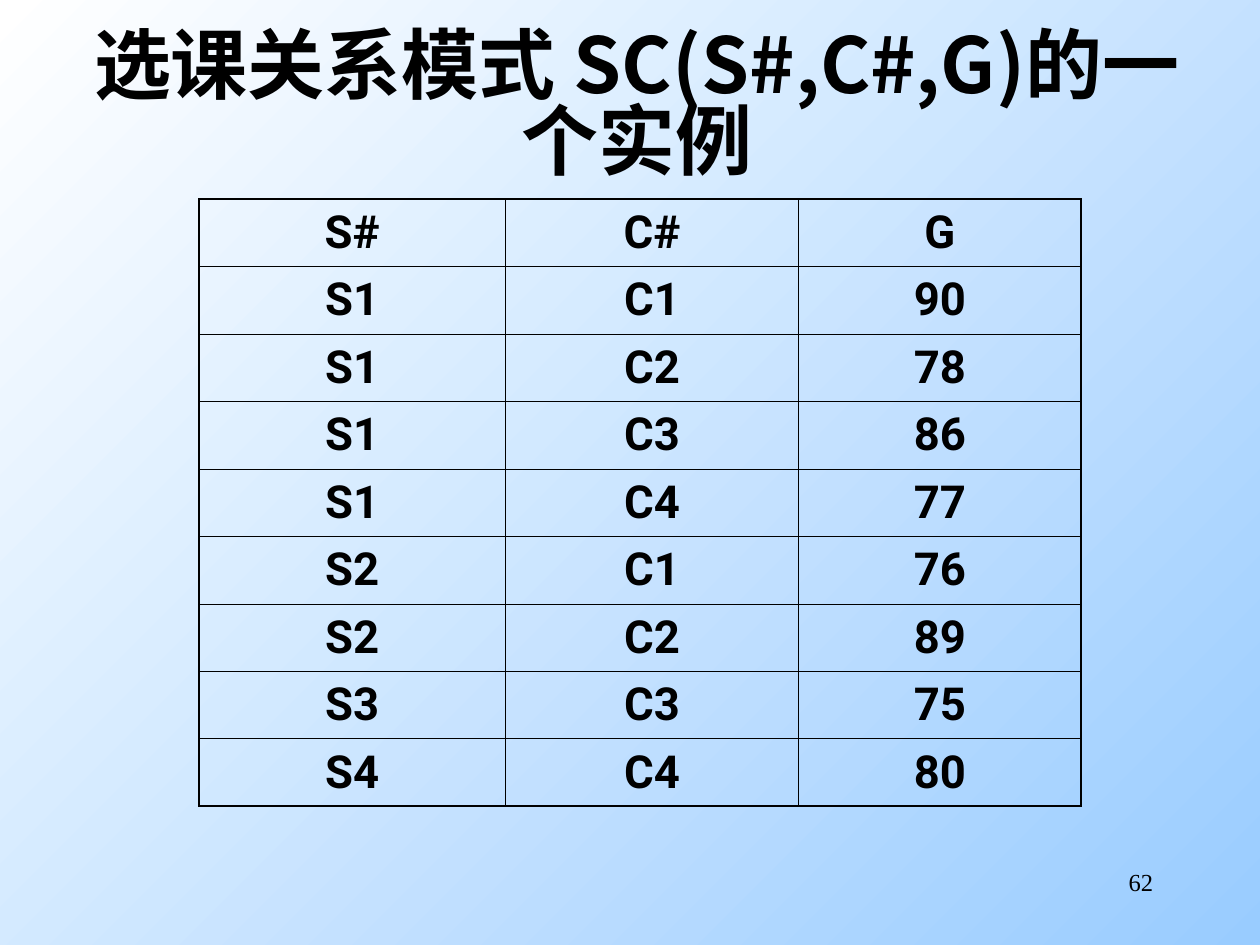
from lxml.etree import SubElement
from pptx import Presentation
from pptx.dml.color import RGBColor
from pptx.enum.text import MSO_ANCHOR as Anchor, PP_ALIGN as Align
from pptx.oxml.ns import qn
from pptx.util import Inches, Pt

TITLE = "选课关系模式 SC(S#,C#,G)的一个实例"
PAGE = "62"
ROWS = [
    ("S#", "C#", "G"),
    ("S1", "C1", "90"),
    ("S1", "C2", "78"),
    ("S1", "C3", "86"),
    ("S1", "C4", "77"),
    ("S2", "C1", "76"),
    ("S2", "C2", "89"),
    ("S3", "C3", "75"),
    ("S4", "C4", "80"),
]
WIDTHS = [2.43, 2.33, 2.24]
HEIGHT = 4.82
INK = "000000"
SHADES = ["FFFFFF", "99CCFF"]
THIN, THICK = 0.45, 1.08

HEAD = {"name": "Noto Sans CJK SC", "size": Pt(44), "bold": True}
BODY = {"name": "Roboto", "size": Pt(26), "bold": True}
FOOT = {"name": "Times New Roman", "size": Pt(14)}


def color(code):
    return RGBColor.from_string(code)


def write(frame, text, style, align):
    para = frame.paragraphs[0]
    para.alignment = align
    run = para.add_run()
    run.text = text
    for key, value in style.items():
        setattr(run.font, key, value)
    run.font.color.rgb = color(INK)
    SubElement(run.font._element, qn("a:ea"), typeface=style["name"])
    return para


def add_text(slide, place, text, style, align):
    box = slide.shapes.add_textbox(*map(Inches, place))
    box.text_frame.word_wrap = True
    return box.text_frame, write(box.text_frame, text, style, align)


def add_border(cell, edges):
    """Draw the cell's edges, given as tag and whether it is on the rim."""
    props = cell._tc.get_or_add_tcPr()
    for spot, (tag, rim) in enumerate(edges.items()):
        line = SubElement(props, qn(f"a:{tag}"),
                          w=str(Pt(THICK if rim else THIN)))
        fill = SubElement(line, qn("a:solidFill"))
        SubElement(fill, qn("a:srgbClr"), val=INK)
        props.insert(spot, line)


def add_grid(slide):
    count, last = len(ROWS), len(WIDTHS) - 1
    place = map(Inches, (1.58, 1.58, sum(WIDTHS), HEIGHT))
    table = slide.shapes.add_table(count, len(WIDTHS), *place).table
    table.first_row = table.horz_banding = False
    for col, width in zip(table.columns, WIDTHS):
        col.width = Inches(width)
    for r, row in enumerate(ROWS):
        table.rows[r].height = Inches(HEIGHT / count)
        for c, text in enumerate(row):
            cell = table.cell(r, c)
            cell.fill.background()
            cell.vertical_anchor = Anchor.MIDDLE
            write(cell.text_frame, text, BODY, Align.CENTER)
            add_border(cell, {"lnL": c == 0, "lnR": c == last,
                              "lnT": r == 0, "lnB": r == count - 1})


def main():
    deck = Presentation()
    deck.slide_width, deck.slide_height = Inches(10), Inches(7.5)
    slide = deck.slides.add_slide(deck.slide_layouts[6])

    fill = slide.background.fill
    fill.gradient()
    fill.gradient_angle = 315
    for stop, shade, spot in zip(fill.gradient_stops, SHADES, (0, 1)):
        stop.color.rgb = color(shade)
        stop.position = spot

    add_text(slide, (7.17, 6.83, 2.08, 0.5), PAGE, FOOT, Align.RIGHT)
    add_grid(slide)
    frame, para = add_text(slide, (0.5, 0.72, 9.11, 0.75), TITLE, HEAD,
                           Align.CENTER)
    frame.vertical_anchor = Anchor.BOTTOM
    for side in ("left", "top", "right", "bottom"):
        setattr(frame, f"margin_{side}", 0)
    para.line_spacing = 0.83

    deck.save("out.pptx")


if __name__ == "__main__":
    main()
